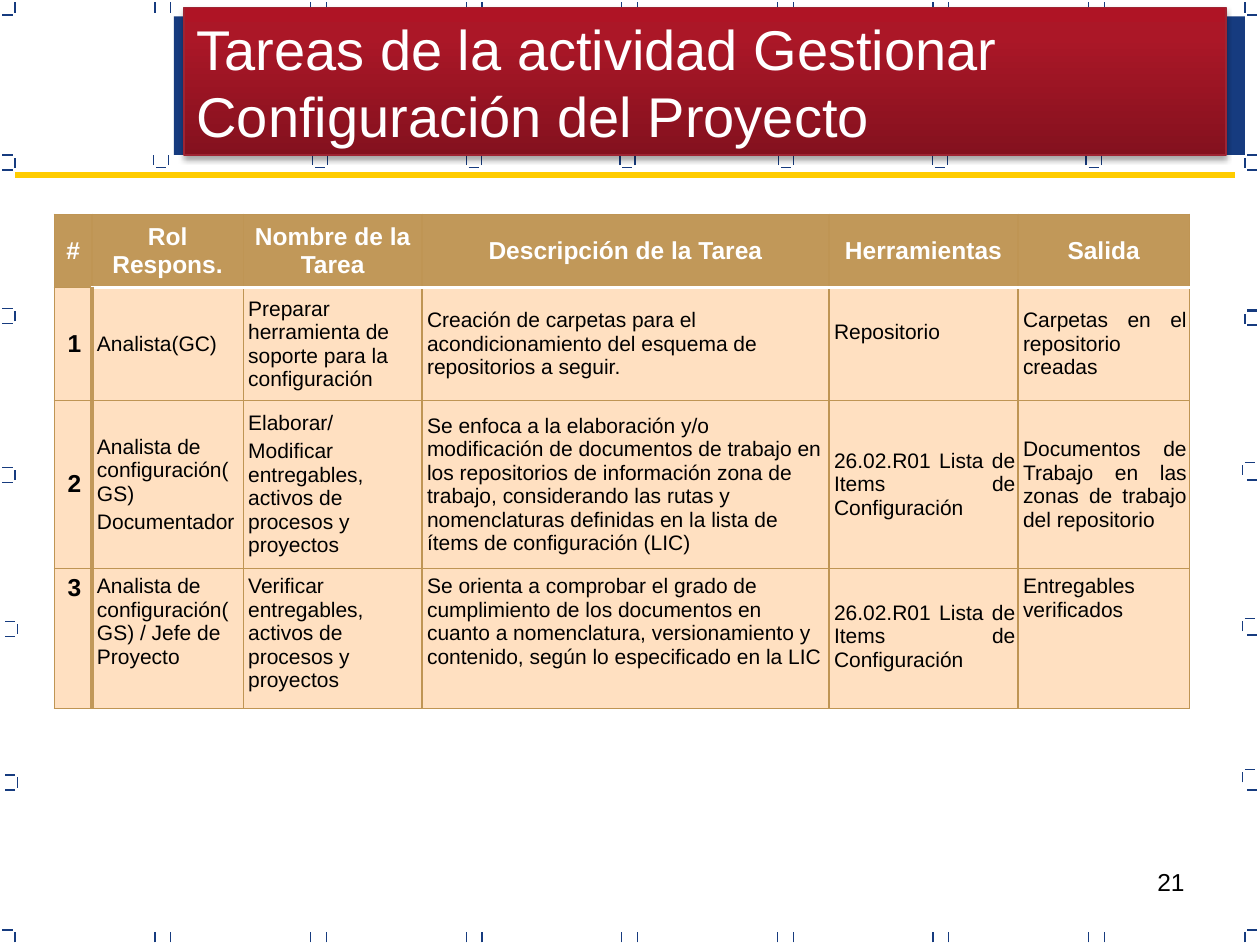
from dataclasses import dataclass

import pptx
import pptx.dml.color
import pptx.enum.shapes
import pptx.enum.text
import pptx.oxml
import pptx.oxml.ns
import pptx.util
from lxml import etree

Inches, Pt = pptx.util.Inches, pptx.util.Pt
ALIGN, ANCHOR = pptx.enum.text.PP_ALIGN, pptx.enum.text.MSO_ANCHOR
NS = pptx.oxml.ns.nsdecls("a")

WIDTH, HEIGHT = 10, 7.5
NAVY, GOLD, WHITE, BLACK = "163B7F", "FFCC00", "FFFFFF", "000000"
TAN, EDGE, CREAM = "C19859", "BF9554", "FFE0C1"
TICK, GAP = 0.08, 0.02
ARM = TICK + GAP

COLUMNS = [0.3, 1.2, 1.42, 3.23, 1.5, 1.36]
ROWS = [0.58, 0.9, 1.33, 1.11]
HEADINGS = ["#", "Rol Respons.", "Nombre de la Tarea", "Descripción de la Tarea",
            "Herramientas", "Salida"]
LIST_NAME = "26.02.R01 Lista de Items de Configuración"


@dataclass
class Bracket:
    """A short upright with dashes beside it, at offsets from its top."""
    x: float
    y: float
    side: int
    dashes: tuple[float, ...] = (-GAP, ARM)


@dataclass
class Task:
    role: str
    name: str
    description: str
    tool: str
    output: str
    anchor: ANCHOR = ANCHOR.MIDDLE
    tool_top: float = 0.05
    tool_bottom: float = 0.05


TASKS = [
    Task("Analista(GC)",
         "Preparar herramienta de soporte para la configuración",
         "Creación de carpetas para el acondicionamiento del esquema de "
         "repositorios a seguir.",
         "Repositorio", "Carpetas en el repositorio creadas", tool_bottom=0.24),
    Task("Analista de configuración(GS)\nDocumentador",
         "Elaborar/\nModificar entregables, activos de procesos y proyectos",
         "Se enfoca a la elaboración y/o modificación de documentos de trabajo en los "
         "repositorios de información zona de trabajo, considerando las rutas y "
         "nomenclaturas definidas en la lista de ítems de configuración (LIC)",
         LIST_NAME, "Documentos de Trabajo en las zonas de trabajo del repositorio"),
    Task("Analista de configuración(GS) / Jefe de Proyecto",
         "Verificar entregables, activos de procesos y proyectos",
         "Se orienta a comprobar el grado de cumplimiento de los documentos en cuanto a "
         "nomenclatura, versionamiento y contenido, según lo especificado en la LIC",
         LIST_NAME, "Entregables verificados", ANCHOR.TOP, tool_top=0.26),
]


def rgb(color: str) -> pptx.dml.color.RGBColor:
    return pptx.dml.color.RGBColor.from_string(color)


def add_line(s, x1: float, y1: float, x2: float, y2: float,
             color: str = NAVY, weight: float = 0.75) -> None:
    line = s.shapes.add_connector(pptx.enum.shapes.MSO_CONNECTOR.STRAIGHT,
                                  Inches(x1), Inches(y1), Inches(x2), Inches(y2))
    line.line.color.rgb = rgb(color)
    line.line.width = Pt(weight)
    etree.SubElement(line._element.spPr, pptx.oxml.ns.qn("a:effectLst"))


def add_bracket(s, b: Bracket) -> None:
    add_line(s, b.x, b.y + TICK, b.x, b.y)
    for dash in b.dashes:
        add_line(s, b.x + b.side * GAP, b.y + dash, b.x + b.side * ARM, b.y + dash)


def add_frame_marks(s) -> None:
    top, bottom = GAP, HEIGHT - ARM
    for i in range(7):
        for x in (1.23 + 1.235 * i, 1.355 + 1.235 * i):
            for y in (top, bottom):
                add_line(s, x, y + TICK, x, y)
    for x in (1.22, 2.48, 3.7, 4.92, 6.18, 7.4, 8.62):
        for upright in (x, x + 0.12):
            add_line(s, upright, 1.31, upright, 1.23)
        add_line(s, x + GAP, 1.33, x + ARM, 1.33)
    for x, side in ((0.12, -1), (WIDTH - 0.12, 1)):
        add_bracket(s, Bracket(x, top, side, (ARM,)))
        add_bracket(s, Bracket(x, 1.25, side))
        add_bracket(s, Bracket(x, bottom, side, (-GAP,)))
    for x, y in ((0.12, 2.47), (0.12, 3.73), (0.14, 4.95), (0.14, 6.17)):
        add_bracket(s, Bracket(x, y, -1))
    for x, y in ((9.88, 2.49), (9.86, 3.69), (9.86, 4.93), (9.86, 6.13)):
        add_bracket(s, Bracket(x, y, 1, (-GAP,)))
    for y in (2.46, 2.58, 3.81, 5.04, 6.27):
        add_line(s, 9.9, y, 9.98, y)


def format_text(tf, size: float, color: str, align: ALIGN, bold: bool = False,
                before: float = 0) -> None:
    for p in tf.paragraphs:
        p.alignment = align
        p.space_before = Pt(before)
        for r in p.runs:
            r.font.name = "Arial"
            r.font.size = Pt(size)
            r.font.bold = bold
            r.font.color.rgb = rgb(color)


def add_title(s) -> None:
    sp = s.shapes.add_shape(pptx.enum.shapes.MSO_SHAPE.RECTANGLE,
                            Inches(1.38), Inches(0.13), Inches(8.5), Inches(1.1))
    sp.shadow.inherit = False
    sp.fill.solid()
    sp.fill.fore_color.rgb = rgb(NAVY)
    sp.line.fill.background()

    title = s.shapes.title
    s.shapes._spTree.append(title._element)
    title.left, title.top = Inches(1.46), Inches(0.06)
    title.width, title.height = Inches(8.27), Inches(1.17)
    tf = title.text_frame
    tf.text = "Tareas de la actividad Gestionar Configuración del Proyecto"
    tf.word_wrap = True
    tf.auto_size = pptx.enum.text.MSO_AUTO_SIZE.NONE
    tf.vertical_anchor = ANCHOR.MIDDLE
    format_text(tf, 32, WHITE, ALIGN.LEFT)

    stops = "".join(f'<a:gs pos="{pos}000"><a:srgbClr val="{color}"/></a:gs>'
                    for pos, color in ((0, "84111E"), (80, "AB1727"), (100, "AF1425")))
    spPr = title._element.spPr
    spPr.append(pptx.oxml.parse_xml(
        f'<a:prstGeom {NS} prst="rect"><a:avLst/></a:prstGeom>'))
    spPr.append(pptx.oxml.parse_xml(
        f'<a:gradFill {NS} rotWithShape="1"><a:gsLst>{stops}</a:gsLst>'
        '<a:lin ang="16200000" scaled="0"/></a:gradFill>'))
    title.line.color.rgb = rgb("9E2533")
    title.line.width = Pt(0.75)
    spPr.append(pptx.oxml.parse_xml(
        f'<a:effectLst {NS}><a:outerShdw blurRad="{Pt(3.1)}" dist="{Pt(1.8)}" '
        'dir="5400000" rotWithShape="0"><a:srgbClr val="000000">'
        '<a:alpha val="35000"/></a:srgbClr></a:outerShdw></a:effectLst>'))


def set_borders(cell, row: int, col: int) -> None:
    thin, rule, header_rule = (EDGE, 0.75), (TAN, 2), (WHITE, 2)
    edges = {
        "L": rule if row and col == 1 else thin,
        "R": rule if row and col == 0 else thin,
        "T": header_rule if row == 1 and col else thin,
        "B": header_rule if row == 0 and col else thin,
    }
    for side, (color, weight) in edges.items():
        cell._tc.get_or_add_tcPr().append(pptx.oxml.parse_xml(
            f'<a:ln{side} {NS} w="{Pt(weight)}"><a:solidFill>'
            f'<a:srgbClr val="{color}"/></a:solidFill></a:ln{side}>'))


def fill_cell(table, row: int, col: int, text: str, anchor: ANCHOR,
              top: float = 0.05, bottom: float = 0.05) -> None:
    cell = table.cell(row, col)
    header, number = row == 0, col == 0
    cell.margin_left, cell.margin_right = (
        (0, 0) if header else (Inches(0.04), Inches(0.02)))
    cell.margin_top, cell.margin_bottom = Inches(top), Inches(bottom)
    cell.vertical_anchor = anchor
    cell.text_frame.text = text
    strong = header or number
    size = 14 if strong else 12
    align = ALIGN.CENTER if strong else ALIGN.JUSTIFY if col >= 4 else ALIGN.LEFT
    format_text(cell.text_frame, size, WHITE if header else BLACK, align, strong,
                before=0.2 * size)
    set_borders(cell, row, col)
    cell.fill.solid()
    cell.fill.fore_color.rgb = rgb(TAN if header else CREAM)


def add_task_table(s) -> None:
    table = s.shapes.add_table(len(ROWS), len(COLUMNS), Inches(0.43), Inches(1.7),
                               Inches(sum(COLUMNS)), Inches(sum(ROWS))).table
    for column, width in zip(table.columns, COLUMNS):
        column.width = Inches(width)
    for row, height in zip(table.rows, ROWS):
        row.height = Inches(height)
    for col, heading in enumerate(HEADINGS):
        fill_cell(table, 0, col, heading, ANCHOR.MIDDLE)
    for row, task in enumerate(TASKS, 1):
        texts = [str(row), task.role, task.name, task.description, task.tool, task.output]
        for col, text in enumerate(texts):
            margins = (task.tool_top, task.tool_bottom) if col == 4 else ()
            fill_cell(table, row, col, text, task.anchor, *margins)


def add_slide_number(s) -> None:
    tf = s.shapes.add_textbox(Inches(7.17), Inches(6.83),
                              Inches(2.33), Inches(0.52)).text_frame
    tf.word_wrap = True
    tf.text = "21"
    format_text(tf, 14, BLACK, ALIGN.RIGHT)


def main() -> None:
    prs = pptx.Presentation()
    prs.slide_width, prs.slide_height = Inches(WIDTH), Inches(HEIGHT)
    s = prs.slides.add_slide(prs.slide_layouts.get_by_name("Title Only"))
    add_slide_number(s)
    add_frame_marks(s)
    add_title(s)
    add_line(s, 0.12, 1.39, 9.8, 1.39, GOLD, 3)
    add_task_table(s)
    prs.save("out.pptx")


if __name__ == "__main__":
    main()
